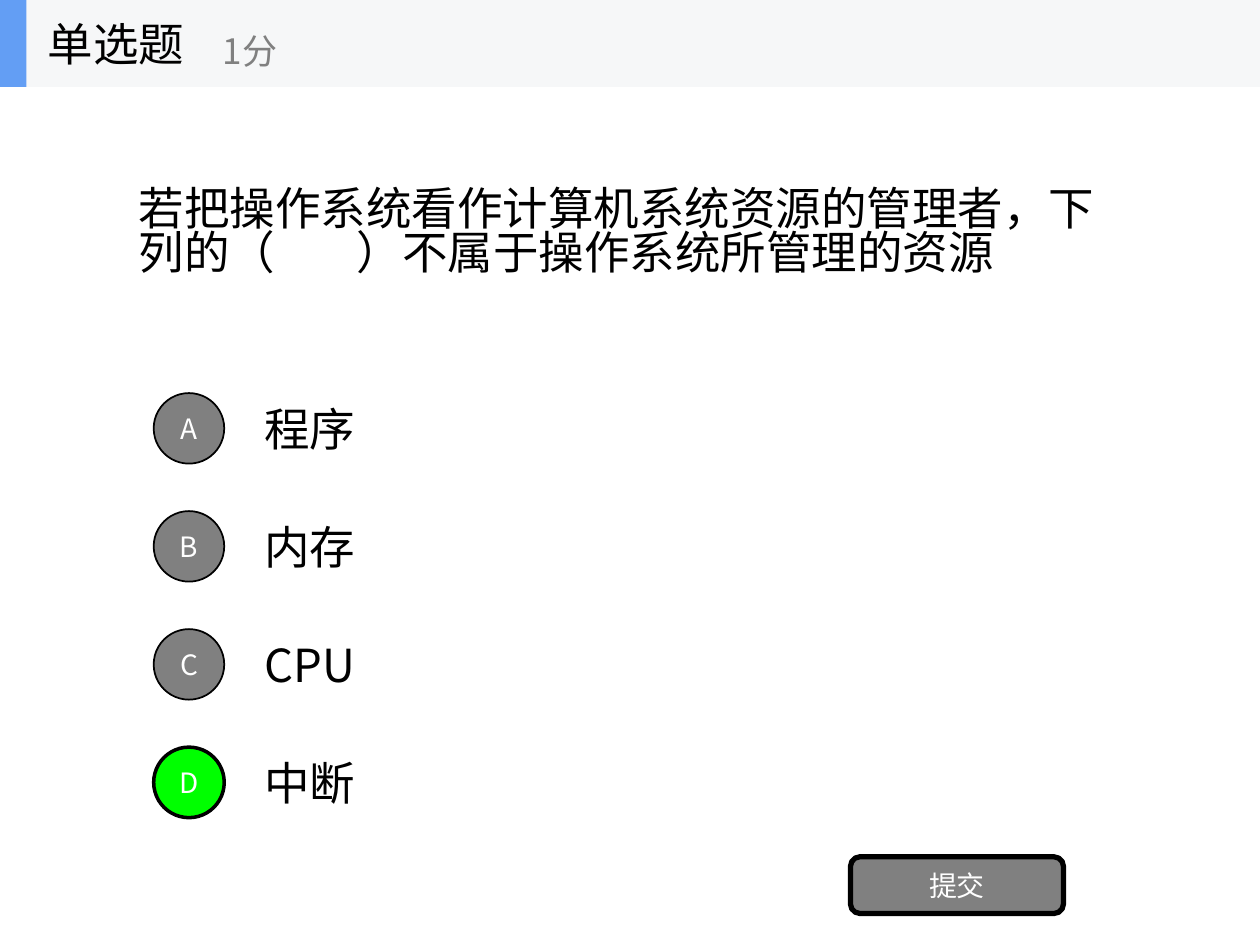
from dataclasses import dataclass

import lxml.etree
import pptx
import pptx.dml.color
import pptx.enum.shapes
import pptx.enum.text
import pptx.oxml.ns
import pptx.util

Inches = pptx.util.Inches
SHAPE = pptx.enum.shapes.MSO_SHAPE
ALIGN = pptx.enum.text.PP_ALIGN


@dataclass(frozen=True)
class Theme:
    """Colours, font and type sizes of the quiz slide."""
    font: str = "Noto Sans CJK SC"
    ink: str = "000000"
    white: str = "FFFFFF"
    grey: str = "808080"
    correct: str = "00FF00"
    band: str = "F6F7F8"
    accent: str = "639EF4"
    body: int = 26
    points: int = 20
    label: int = 16


THEME = Theme()


def rgb(color):
    """Turn a hex string into a colour."""
    return pptx.dml.color.RGBColor.from_string(color)


def write(sp, text, size, color, align=ALIGN.LEFT, wrap=True):
    """Put one vertically centred, formatted paragraph into a shape."""
    tf = sp.text_frame
    tf.text = text
    tf.word_wrap = wrap
    tf.auto_size = pptx.enum.text.MSO_AUTO_SIZE.NONE
    tf.vertical_anchor = pptx.enum.text.MSO_ANCHOR.MIDDLE
    p = tf.paragraphs[0]
    p.alignment = align
    for r in p.runs:
        r.font.size = pptx.util.Pt(size)
        r.font.color.rgb = rgb(color)
        r.font.name = THEME.font
        ea = lxml.etree.SubElement(r._r.get_or_add_rPr(), pptx.oxml.ns.qn("a:ea"))
        ea.set("typeface", THEME.font)


def add_text(shapes, box, *style, **options):
    """Add a text box."""
    write(shapes.add_textbox(*map(Inches, box)), *style, **options)


def add_block(shapes, kind, box, fill, line=0):
    """Add a filled preset shape, outlined when a line width is given."""
    sp = shapes.add_shape(kind, *map(Inches, box))
    sp.shadow.inherit = False
    sp.fill.solid()
    sp.fill.fore_color.rgb = rgb(fill)
    if line:
        sp.line.color.rgb = rgb(THEME.ink)
        sp.line.width = pptx.util.Pt(line)
    else:
        sp.line.fill.background()
    return sp


def add_question(s, box, text):
    """Place the question in the title placeholder."""
    sp = s.shapes.title
    sp.left, sp.top, sp.width, sp.height = map(Inches, box)
    write(sp, text, THEME.body, THEME.ink)
    sp.text_frame.paragraphs[0].line_spacing = 0.8


def add_options(s, box, options, answer):
    """Spread lettered options evenly down the box and mark the answer."""
    x, y, w, h = box
    row, dot, indent = 0.7, 0.56, 0.78
    step = (h - row) / (len(options) - 1)
    for i, (letter, text) in enumerate(options.items()):
        top = y + i * step
        add_text(s.shapes, (x + indent, top, w - indent, row), text, THEME.body, THEME.ink)
        fill, line = (THEME.correct, 2) if letter == answer else (THEME.grey, 1)
        sp = add_block(s.shapes, SHAPE.OVAL, (x, top + (row - dot) / 2, dot, dot), fill, line)
        sp.text_frame.margin_left = sp.text_frame.margin_right = 0
        write(sp, letter, THEME.label, THEME.white, ALIGN.CENTER)


def add_button(s, box, text):
    """Add the submit button."""
    sp = add_block(s.shapes, SHAPE.ROUNDED_RECTANGLE, box, THEME.grey, 3)
    write(sp, text, THEME.label, THEME.white, ALIGN.CENTER)


def add_header(s, box, kind, points):
    """Group the header band, its accent, the question type and the points."""
    x, y, w, h = box
    shapes = s.shapes.add_group_shape().shapes
    add_block(shapes, SHAPE.RECTANGLE, box, THEME.band)
    add_block(shapes, SHAPE.RECTANGLE, (x, y, 0.21, h), THEME.accent)
    add_text(shapes, (x + 0.28, y, 2.08, h), kind, THEME.body, THEME.ink, wrap=False)
    add_text(shapes, (x + 1.67, y + 0.12, 2.5, 0.56), points, THEME.points, THEME.grey, wrap=False)


def main():
    """Build the single-choice question slide."""
    prs = pptx.Presentation()
    prs.slide_width, prs.slide_height = Inches(10), Inches(7.5)
    s = prs.slides.add_slide(prs.slide_layouts.get_by_name("Title Only"))
    add_question(s, (1, 0.69, 8, 2.34),
                 "若把操作系统看作计算机系统资源的管理者，下列的（        ）不属于操作系统所管理的资源")
    options = {"A": "程序", "B": "内存", "C": "CPU", "D": "中断"}
    add_options(s, (1.22, 3.05, 7.78, 3.51), options, "D")
    add_button(s, (6.75, 6.8, 1.69, 0.45), "提交")
    add_header(s, (0, 0, 10, 0.69), "单选题", "1分")
    prs.save("out.pptx")


if __name__ == "__main__":
    main()
